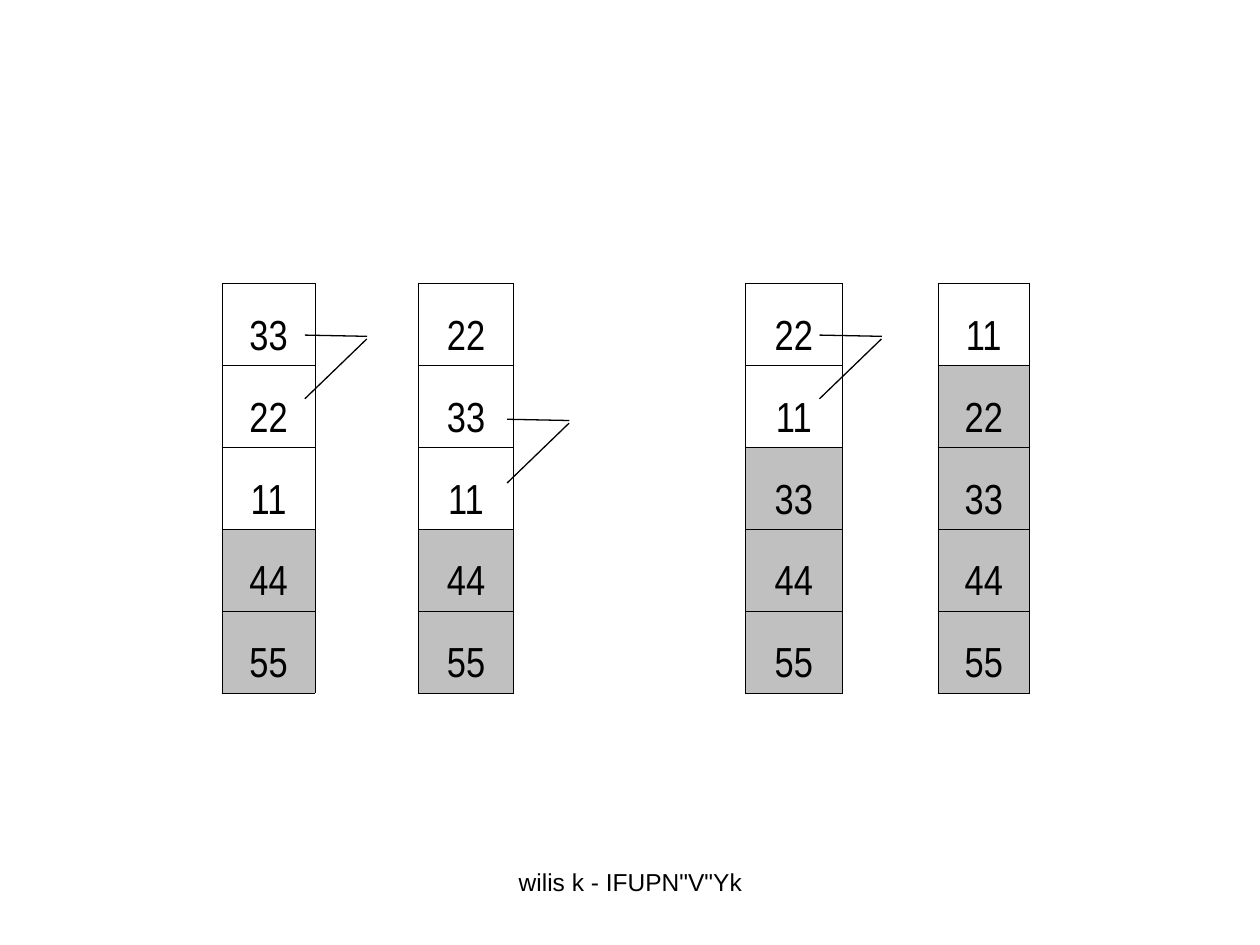
from dataclasses import dataclass

from lxml.etree import SubElement
from pptx import Presentation
from pptx.dml.color import RGBColor
from pptx.enum.shapes import MSO_CONNECTOR as Connector
from pptx.enum.text import MSO_ANCHOR as Anchor, PP_ALIGN as Align
from pptx.oxml.ns import qn
from pptx.util import Pt

COLOURS = {"ink": "000000", "sorted": "C0C0C0"}
ROW_HEIGHT = 46.8
TABLE_TOP = 162
VALUE_COLUMNS = (1, 3)
BORDER_WIDTH = 0.45


@dataclass
class SortStep:
    values: tuple[int, ...]
    sorted_from: int


@dataclass
class StepTable:
    left: float
    widths: tuple[float, ...]
    steps: tuple[SortStep, SortStep]


@dataclass
class SwapMark:
    left: float
    top: float


TABLES = (
    StepTable(77.8, (49, 53.3, 59.2, 54, 54), (
        SortStep((33, 22, 11, 44, 55), 3),
        SortStep((22, 33, 11, 44, 55), 3),
    )),
    StepTable(378, (47.8, 55.6, 54.6, 52.3, 53.5), (
        SortStep((22, 11, 33, 44, 55), 2),
        SortStep((11, 22, 33, 44, 55), 1),
    )),
)
SWAP_MARKS = (SwapMark(174.2, 191.5), SwapMark(289.8, 239.6), SwapMark(468.3, 191.5))
SWAP_LINES = ((0, 0, 35.6, 0.7), (35.4, 2.2, 0, 36.4))


def colour(name: str) -> RGBColor:
    return RGBColor.from_string(COLOURS[name])


def write(frame, text: str, font: str, size: float) -> None:
    para = frame.paragraphs[0]
    para.alignment = Align.CENTER
    span = para.add_run()
    span.text = text
    span.font.name = font
    span.font.size = Pt(size)
    span.font.color.rgb = colour("ink")


def set_borders(cell, sides: str) -> None:
    """Draw the sides named by letter (L, R, T, B) and hide the others."""
    properties = cell._tc.get_or_add_tcPr()
    for side in "LRTB":
        line = SubElement(properties, qn(f"a:ln{side}"), w=str(Pt(BORDER_WIDTH)))
        if side in sides:
            fill = SubElement(line, qn("a:solidFill"))
            SubElement(fill, qn("a:srgbClr"), val=COLOURS["ink"])
        else:
            SubElement(line, qn("a:noFill"))


def add_step_table(page, spec_table: StepTable) -> None:
    """Show two steps of the sort in bordered columns between empty ones."""
    row_count = len(spec_table.steps[0].values)
    column_count = len(spec_table.widths)
    table = page.shapes.add_table(
        row_count, column_count, Pt(spec_table.left), Pt(TABLE_TOP),
        Pt(sum(spec_table.widths)), Pt(ROW_HEIGHT * row_count)).table
    table.first_row = False
    table.horz_banding = False
    for column, width in zip(table.columns, spec_table.widths):
        column.width = Pt(width)
    steps = dict(zip(VALUE_COLUMNS, spec_table.steps))
    for row in range(row_count):
        table.rows[row].height = Pt(ROW_HEIGHT)
        for column in range(column_count):
            cell = table.cell(row, column)
            step = steps.get(column)
            if step:
                set_borders(cell, "LRTB")
                cell.vertical_anchor = Anchor.BOTTOM
                write(cell.text_frame, str(step.values[row]), "Arial Narrow", 24)
            else:
                set_borders(cell, ("L" if column - 1 in steps else "")
                            + ("R" if column + 1 in steps else ""))
            if step and row >= step.sorted_from:
                cell.fill.solid()
                cell.fill.fore_color.rgb = colour("sorted")
            else:
                cell.fill.background()


def add_swap_mark(page, mark: SwapMark) -> None:
    """Join two neighbouring values that change places."""
    group = page.shapes.add_group_shape()
    for x1, y1, x2, y2 in SWAP_LINES:
        line = group.shapes.add_connector(
            Connector.STRAIGHT, Pt(mark.left + x1), Pt(mark.top + y1),
            Pt(mark.left + x2), Pt(mark.top + y2))
        line.line.color.rgb = colour("ink")
        line.line.width = Pt(0.75)
        SubElement(line._element.spPr, qn("a:effectLst"))


def add_footer(page, text: str) -> None:
    box = page.shapes.add_textbox(Pt(246.2), Pt(491.8), Pt(228.2), Pt(37.4))
    box.text_frame.word_wrap = True
    write(box.text_frame, text, "Arial", 14)


def main() -> None:
    deck = Presentation()
    deck.slide_width, deck.slide_height = Pt(720), Pt(540)
    page = deck.slides.add_slide(deck.slide_layouts[6])
    add_footer(page, 'wilis k - IFUPN"V"Yk')
    for step_table in TABLES:
        add_step_table(page, step_table)
    for mark in SWAP_MARKS:
        add_swap_mark(page, mark)
    deck.save("out.pptx")


if __name__ == "__main__":
    main()
